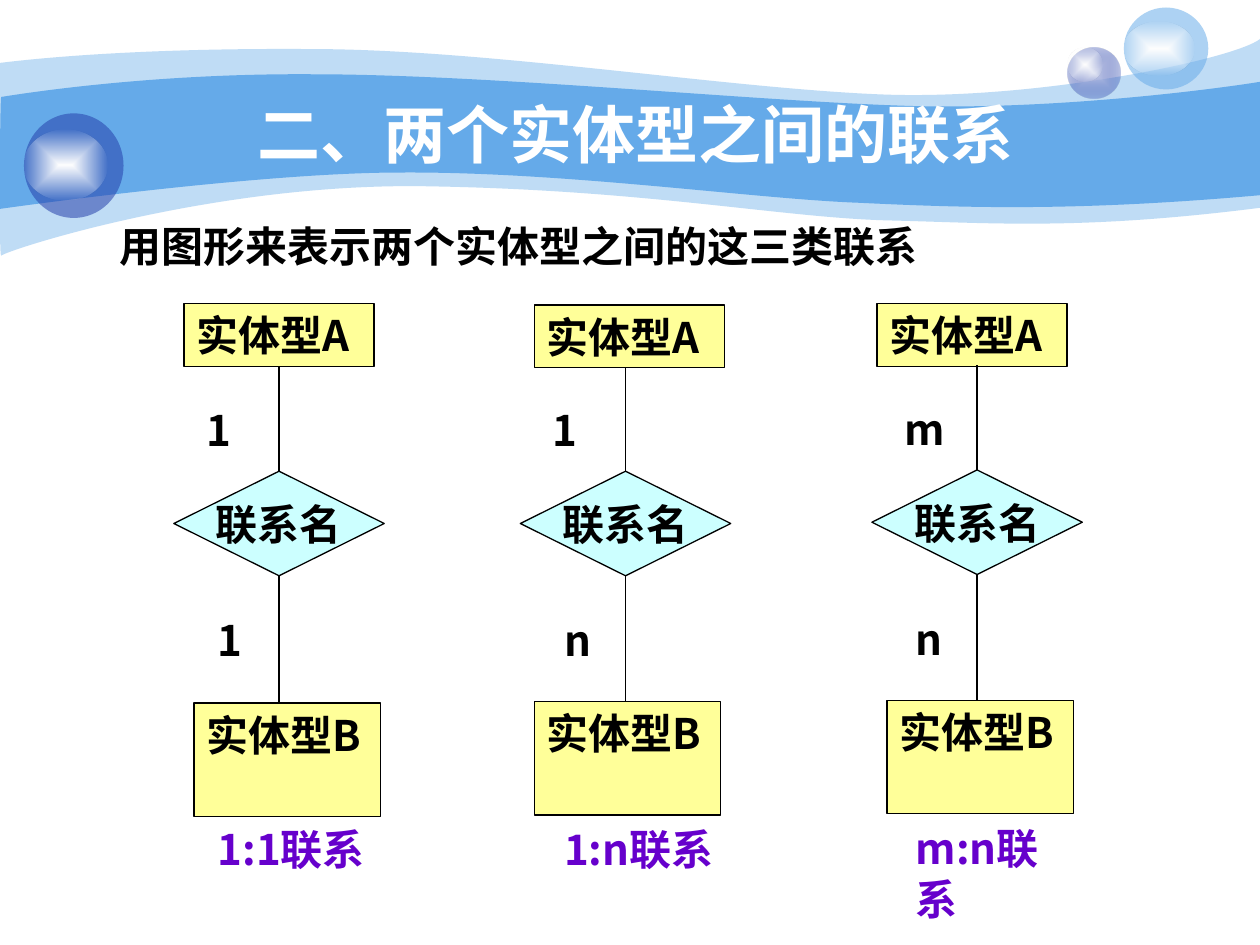
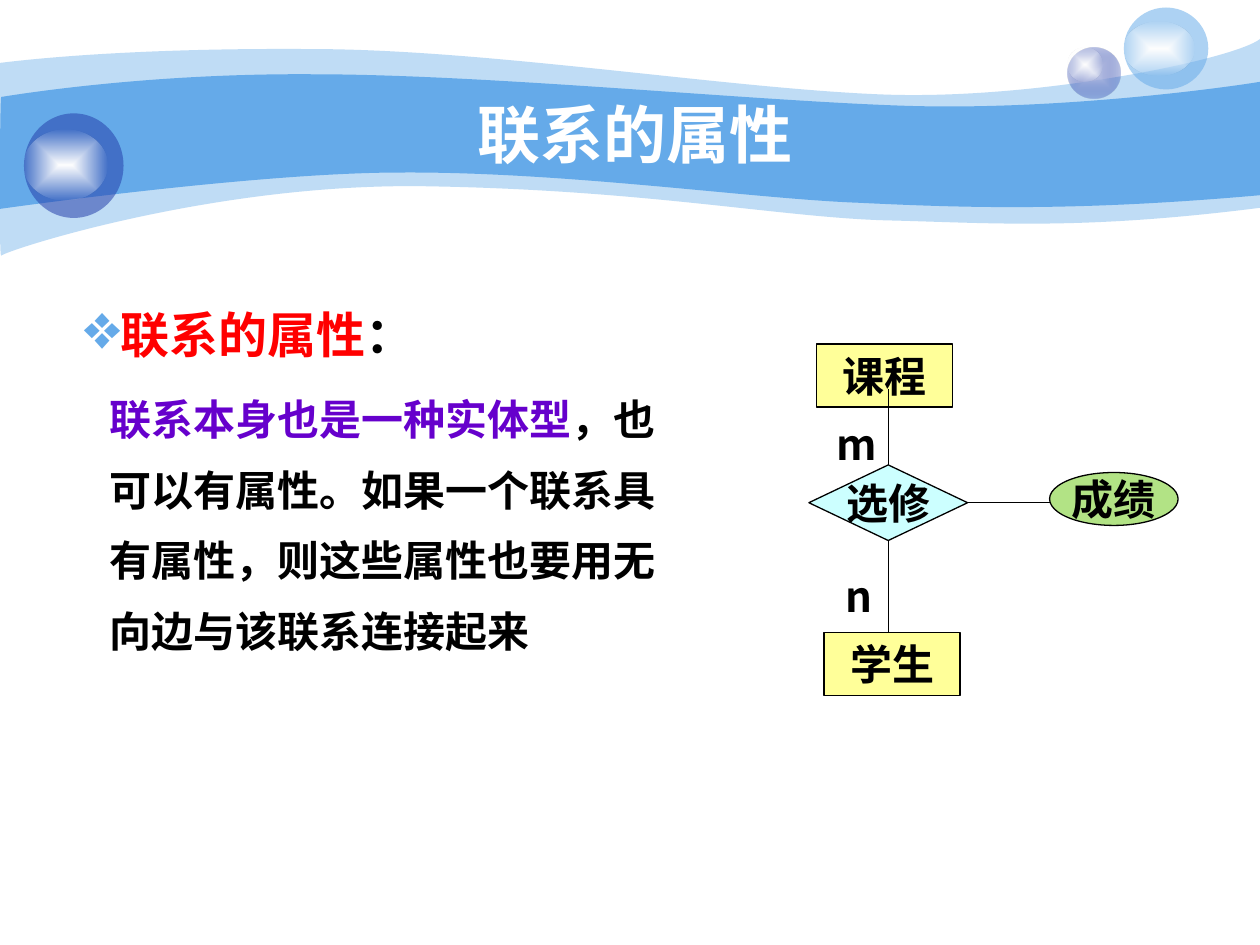
from lxml.etree import SubElement
from pptx import Presentation
from pptx.dml.color import RGBColor
from pptx.enum.shapes import MSO_CONNECTOR as LINK, MSO_SHAPE as SHAPE
from pptx.enum.text import MSO_ANCHOR as ANCHOR, MSO_AUTO_SIZE as FIT, PP_ALIGN as ALIGN
from pptx.oxml import parse_xml
from pptx.oxml.ns import nsdecls, qn
from pptx.util import Inches, Pt

FONT = "Noto Sans CJK SC"
BLUE, NAVY, WHITE, BLACK = "65AAE9", "233DA9", "FFFFFF", "000000"
YELLOW, CYAN, GREEN, PURPLE, RED = "FFFF99", "CCFFFF", "B2E385", "6600CC", "FF0000"
TOP, BOTTOM, RIGHT = 0, 2, 3


def paint(shape, fill, line=None, alpha=100, center=None):
    """Fill a shape, optionally as a gradient that starts from a center colour."""
    shape.shadow.inherit = False
    shape.fill.solid()
    shape.fill.fore_color.rgb = RGBColor.from_string(fill)
    solid = shape.element.spPr.find(qn("a:solidFill"))
    if alpha < 100:
        SubElement(solid[0], qn("a:alpha"), val=str(alpha * 1000))
    if center:
        gradient = parse_xml(
            f'<a:gradFill {nsdecls("a")} rotWithShape="1"><a:gsLst>'
            f'<a:gs pos="0"><a:srgbClr val="{center}"/></a:gs>'
            f'<a:gs pos="100000"><a:srgbClr val="{fill}"><a:alpha val="{alpha * 1000}"/></a:srgbClr></a:gs>'
            '</a:gsLst><a:path path="rect"><a:fillToRect l="50000" t="50000" r="50000" b="50000"/></a:path>'
            '</a:gradFill>')
        shape.element.spPr.replace(solid, gradient)
    if line:
        shape.line.color.rgb = RGBColor.from_string(line)
        shape.line.width = Pt(0.75)
    else:
        shape.line.fill.background()
    return shape


def write(shape, text, size=24, color=BLACK, align=ALIGN.LEFT, anchor=ANCHOR.TOP, wrap=True):
    """Add a bold run to the last paragraph of a shape."""
    frame = shape.text_frame
    frame.auto_size = FIT.NONE
    frame.word_wrap = wrap
    frame.vertical_anchor = anchor
    paragraph = frame.paragraphs[-1]
    paragraph.alignment = align
    run = paragraph.add_run()
    run.text = text
    run.font.name, run.font.size, run.font.bold = FONT, Pt(size), True
    run.font.color.rgb = RGBColor.from_string(color)
    return paragraph


prs = Presentation()
prs.slide_width, prs.slide_height = Inches(10), Inches(7.5)
centered = dict(align=ALIGN.CENTER, anchor=ANCHOR.MIDDLE, wrap=False)

# Slides with their titles
slides = []
for heading in ["二、两个实体型之间的联系", "联系的属性"]:
    slide = prs.slides.add_slide(prs.slide_layouts[5])
    title = slide.shapes.title
    title.left, title.top, title.width, title.height = map(Inches, (1, 0.75, 8.08, 0.62))
    write(title, heading, size=36, color=WHITE, align=ALIGN.CENTER, anchor=ANCHOR.MIDDLE)
    slides.append(slide)
kinds_slide, attribute_slide = slides

# Waves: a start point, three curves, a straight right side, four curves
waves = [
    (41, (0, 0.5), [
        (0.24, 0.47), (1.07, 0.38), (2.47, 0.39), (3.86, 0.39), (5.75, 0.7), (6.99, 0.75),
        (8.22, 0.8), (9.8, 0.47), (10, 0.31), (10, 1.65),
        (8.58, 1.83), (7.87, 1.77), (7.05, 1.75), (6.22, 1.73), (5.15, 1.51), (3.43, 1.48),
        (1.72, 1.44), (0.04, 1.99), (0.01, 2.03), (-0.01, 2.08), (0, 0.75), (0, 0.5)]),
    (100, (0.01, 0.77), [
        (0.02, 0.77), (1.1, 0.58), (2.48, 0.59), (3.86, 0.59), (5.95, 0.8), (7.18, 0.84),
        (8.41, 0.88), (9.76, 0.69), (10, 0.65), (10, 1.55),
        (8.53, 1.68), (7.65, 1.65), (6.82, 1.61), (5.99, 1.58), (4.47, 1.36), (3.17, 1.37),
        (2.03, 1.37), (-0.02, 1.66), (-0.01, 1.66), (0, 1.66), (0, 0.77), (0.01, 0.77)]),
]
CURVE_STARTS = (0, 3, 6, 10, 13, 16, 19)
decor = []
for alpha, start, points in waves:
    builder = kinds_slide.shapes.build_freeform(*map(Inches, start))
    builder.add_line_segments([(Inches(x), Inches(y)) for x, y in points], close=True)
    wave = builder.convert_to_shape()
    # Each curve takes over the points of three straight steps
    steps = list(wave.element.iter(qn("a:lnTo")))
    for first in CURVE_STARTS:
        curve = parse_xml(f'<a:cubicBezTo {nsdecls("a")}/>')
        steps[first].addprevious(curve)
        for step in steps[first:first + 3]:
            curve.append(step[0])
            step.getparent().remove(step)
    decor.append(paint(wave, BLUE, alpha=alpha))

# Bubbles, each followed by its highlight
bubbles = [
    ((8.47, 0.38, 0.42, 0.4), NAVY, 31, "C7CEE9"),
    ((8.47, 0.38, 0.28, 0.27), WHITE, 0, WHITE),
    ((8.92, 0.06, 0.67, 0.65), BLUE, 53, None),
    ((8.92, 0.17, 0.56, 0.43), WHITE, 0, WHITE),
    ((0.19, 0.9, 0.79, 0.83), NAVY, 53, None),
    ((0.19, 1.03, 0.66, 0.56), WHITE, 0, WHITE),
]
for place, color, alpha, center in bubbles:
    bubble = kinds_slide.shapes.add_shape(SHAPE.OVAL, *map(Inches, place))
    decor.append(paint(bubble, color, alpha=alpha, center=center))

# The decoration belongs to the master, behind its placeholders
for index, part in enumerate(decor):
    part.element.xpath(".//p:cNvPr")[0].set("id", str(100 + index))
    prs.slide_master.shapes.element.insert(2 + index, part.element)

# Slide 1: three kinds of relationship
edges = []
shapes = kinds_slide.shapes
columns = [  # diamond left, diamond top, A left, A top, B left, B top, A end, B end
    (1.38, 3.74, 1.46, 2.41, 1.54, 5.58, "1", "1"),
    (4.13, 3.74, 4.24, 2.42, 4.24, 5.57, "1", "n"),
    (6.92, 3.73, 6.96, 2.41, 7.04, 5.56, "m", "n"),
]
for left, top, a_left, a_top, b_left, b_top, a_end, b_end in columns:
    entity_a = shapes.add_shape(SHAPE.RECTANGLE, *map(Inches, (a_left, a_top, 1.51, 0.5)))
    write(paint(entity_a, YELLOW, line=BLACK), "实体型A")
    relation = shapes.add_shape(SHAPE.DIAMOND, *map(Inches, (left, top, 1.67, 0.83)))
    write(paint(relation, CYAN, line=BLACK), "联系名", **centered)
    entity_b = shapes.add_shape(SHAPE.RECTANGLE, *map(Inches, (b_left, b_top, 1.48, 0.9)))
    write(paint(entity_b, YELLOW, line=BLACK), "实体型B")

    axis = relation.left + relation.width // 2
    for site, end_y in [(TOP, Inches(top - 0.83)), (BOTTOM, entity_b.top)]:
        edge = shapes.add_connector(LINK.STRAIGHT, axis, relation.top, axis, end_y)
        edge.begin_connect(relation, site)
        if site == TOP and abs(entity_a.left + entity_a.width // 2 - axis) < Inches(0.01):
            edge.end_connect(entity_a, BOTTOM)
        edges.append(edge)

    labels = [
        (a_end, 0.16, -0.58, 0.42, 0.5, BLACK),
        (b_end, 0.25, 1.09, 0.42, 0.5, BLACK),
        (f"{a_end}:{b_end}联系", 0.25, 2.75, 1.5, 0.9, PURPLE),
    ]
    for text, dx, dy, width, height, color in labels:
        label = shapes.add_textbox(*map(Inches, (left + dx, top + dy, width, height)))
        write(label, text, color=color)

intro = shapes.add_textbox(*map(Inches, (0.41, 1.7, 7.41, 0.5)))
write(intro, "用图形来表示两个实体型之间的这三类联系", align=ALIGN.CENTER, wrap=False)

# Slide 2: diagram of a relationship with an attribute
shapes = attribute_slide.shapes
for text, left, top in [("课程", 6.48, 2.73), ("学生", 6.54, 5.02)]:
    entity = shapes.add_shape(SHAPE.RECTANGLE, *map(Inches, (left, top, 1.08, 0.5)))
    write(paint(entity, YELLOW, line=BLACK), text, align=ALIGN.CENTER)
enrolment = shapes.add_shape(SHAPE.DIAMOND, *map(Inches, (6.42, 3.69, 1.26, 0.6)))
write(paint(enrolment, CYAN, line=BLACK), "选修", **centered)
grade = shapes.add_shape(SHAPE.OVAL, *map(Inches, (8.33, 3.75, 1.02, 0.42)))
write(paint(grade, GREEN, line=BLACK), "成绩", **centered)

axis = enrolment.left + enrolment.width // 2
middle = enrolment.top + enrolment.height // 2
for site, x, y in [(TOP, axis, Inches(3.09)), (BOTTOM, axis, Inches(5.02)), (RIGHT, grade.left, middle)]:
    edge = shapes.add_connector(LINK.STRAIGHT, axis, middle, x, y)
    edge.begin_connect(enrolment, site)
    edges.append(edge)

for text, left, top in [("m", 6.54, 3.27), ("n", 6.61, 4.48)]:
    write(shapes.add_textbox(*map(Inches, (left, top, 0.32, 0.5))), text)

# Slide 2: explanation
explanation = shapes.add_textbox(*map(Inches, (0.27, 2.18, 5.28, 3.48)))
write(explanation, "联系的属性", size=28, color=RED)
write(explanation, "：", size=28).line_spacing = 1.4
detail = explanation.text_frame.add_paragraph()
detail.line_spacing, detail.space_before = 1.4, Pt(6)
write(explanation, "联系本身也是一种实体型", color=PURPLE)
write(explanation, "，也可以有属性。如果一个联系具有属性，则这些属性也要用无向边与该联系连接起来")
bullet_format, detail_format = explanation.element.iter(qn("a:pPr"))
for paragraph_format, indent in [(bullet_format, -0.2), (detail_format, 0)]:
    paragraph_format.set("marL", str(Inches(0.5)))
    paragraph_format.set("indent", str(Inches(indent)))
SubElement(SubElement(bullet_format, qn("a:buClr")), qn("a:srgbClr"), val=BLUE)
SubElement(bullet_format, qn("a:buSzPct"), val="130000")
SubElement(bullet_format, qn("a:buChar"), char="❖")

# Thin black edges without shadow
for edge in edges:
    edge.line.color.rgb = RGBColor.from_string(BLACK)
    edge.line.width = Pt(0.75)
    SubElement(edge.element.spPr, qn("a:effectLst"))

# East Asian typeface for every run
for slide in slides:
    for run_format in slide.element.iter(qn("a:rPr")):
        SubElement(run_format, qn("a:ea"), typeface=FONT)

prs.save("out.pptx")
